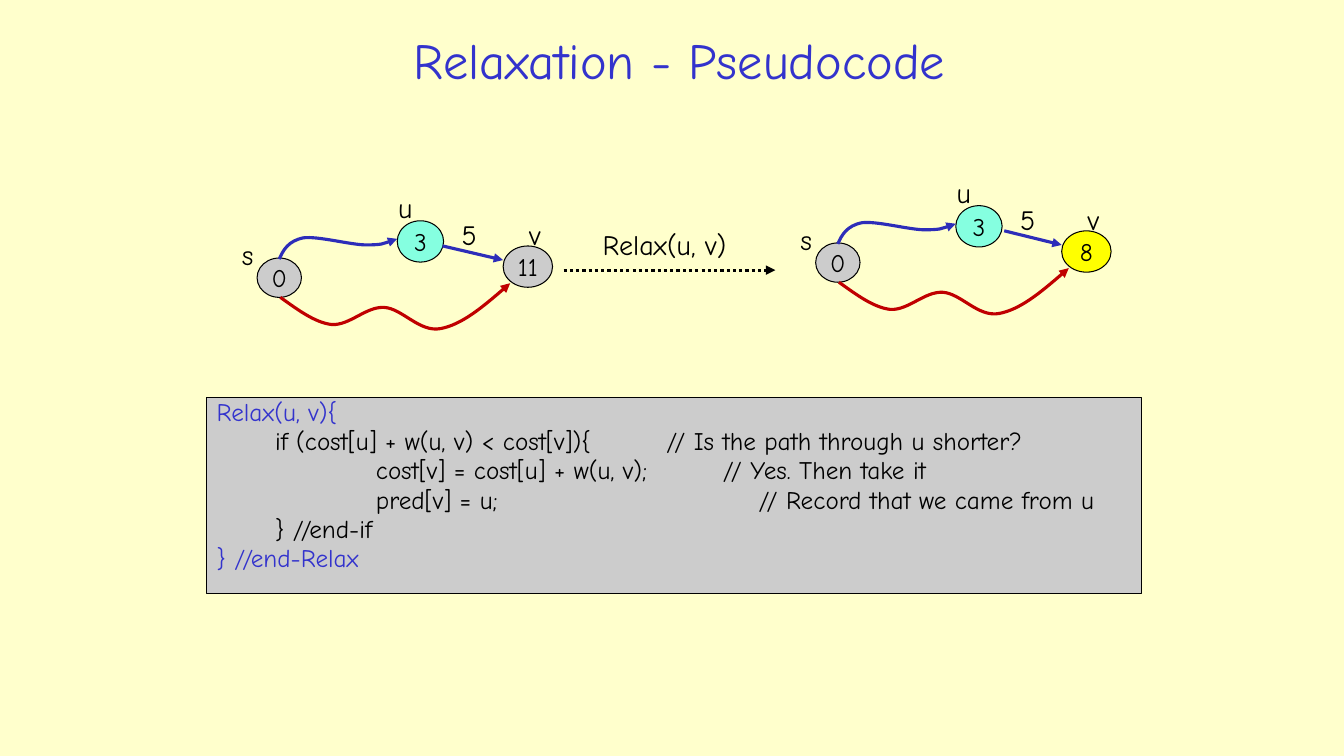
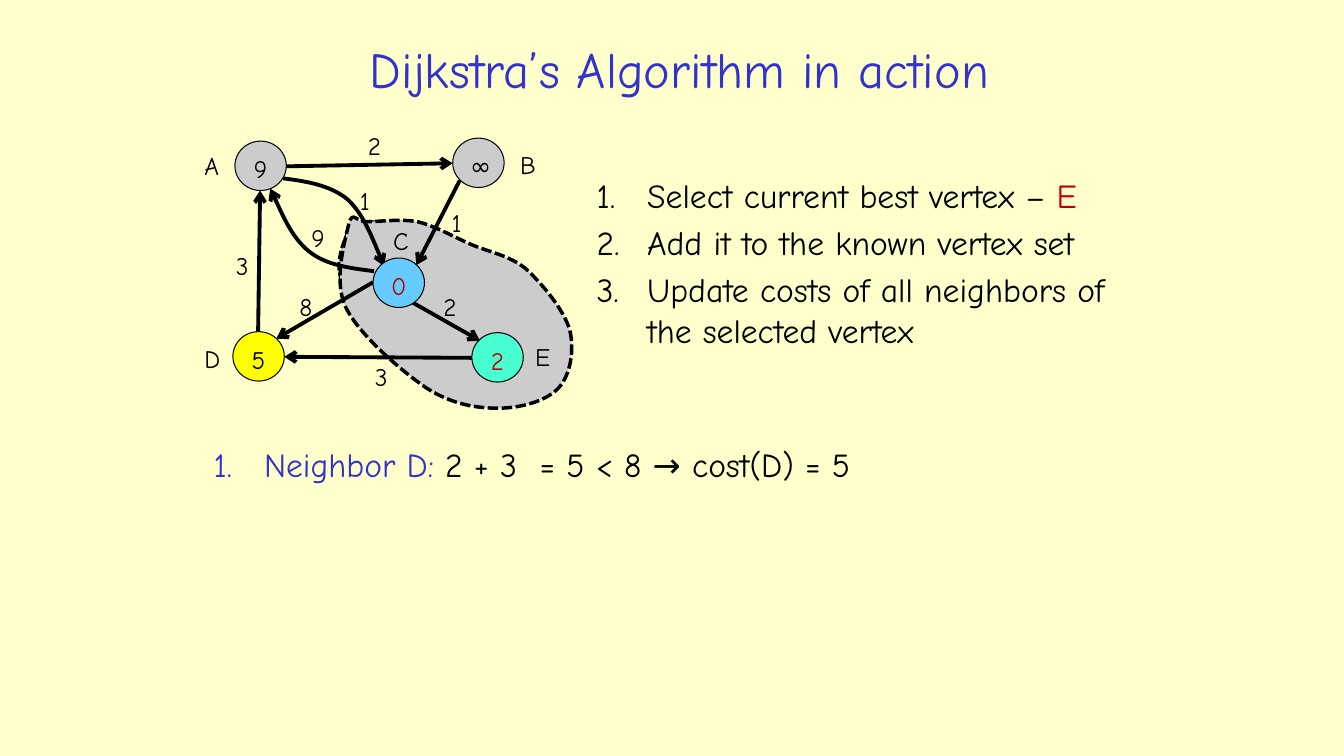
"""Build two slides on edge relaxation and Dijkstra's algorithm."""
from lxml import etree
from pptx import Presentation
from pptx.dml.color import RGBColor
from pptx.enum import dml, shapes, text
from pptx.oxml.ns import qn
from pptx.util import Inches, Pt

HUE = {"page": "FFFFCC", "title": "3333CC", "ink": "000000", "red": "C00000",
       "blue": "2D2DB9", "gray": "CCCCCC", "mint": "85FFE0", "teal": "47FFD1",
       "sky": "66CCFF", "gold": "FFFF00"}
FONT = "Comic Neue"
OVAL = shapes.MSO_SHAPE.OVAL
RECT = shapes.MSO_SHAPE.RECTANGLE
MID, TOP = text.MSO_ANCHOR.MIDDLE, text.MSO_ANCHOR.TOP
DASH, DOT = dml.MSO_LINE.SQUARE_DOT, dml.MSO_LINE.ROUND_DOT


def rgb(name):
    return RGBColor.from_string(HUE[name])


def write(page, paras, box, kind=None, fill="gray", size=18, color="ink", center=False,
          anchor=TOP, wrap=False, hang=0, number=False, space=None):
    """Add text, in a plain box or a preset shape; a paragraph is a list of (text, colour) runs."""
    area = [Inches(n) for n in box]
    if kind is None:
        shape = page.shapes.add_textbox(*area)
    else:
        shape = page.shapes.add_shape(kind, *area)
        shape.shadow.inherit = False
        shape.fill.solid()
        shape.fill.fore_color.rgb = rgb(fill)
        shape.line.color.rgb = rgb("ink")
        shape.line.width = Pt(0.75)
    frame = shape.text_frame
    frame.word_wrap = wrap
    frame.vertical_anchor = anchor
    if kind is None and not wrap:
        frame.auto_size = text.MSO_AUTO_SIZE.SHAPE_TO_FIT_TEXT
    if isinstance(paras, str):
        paras = [[(paras, color)]]
    for i, runs in enumerate(paras):
        para = frame.paragraphs[0] if i == 0 else frame.add_paragraph()
        para.alignment = text.PP_ALIGN.CENTER if center else text.PP_ALIGN.LEFT
        if hang:
            props = para._p.get_or_add_pPr()
            props.set("marL", str(Inches(hang)))
            props.set("indent", str(-Inches(hang)))
            props.set("defTabSz", str(Inches(1)))
            if number:
                etree.SubElement(props, qn("a:buAutoNum"), type="arabicPeriod")
        if space:
            para.line_spacing = space
        if i:
            para.space_before = Pt(size * 0.2)
        for words, hue in runs:
            run = para.add_run()
            run.text = words
            run.font.name = FONT
            run.font.size = Pt(size)
            run.font.color.rgb = rgb(hue)


def draw(page, points, color="ink", width=2.25, tip="triangle", dash=None, fill=None):
    """Draw a straight line through two points, or a Bezier curve through more."""
    spots = [(Inches(x), Inches(y)) for x, y in points]
    if len(spots) == 2:
        shape = page.shapes.add_connector(shapes.MSO_CONNECTOR.STRAIGHT, *spots[0], *spots[1])
    else:
        form = page.shapes.build_freeform(*spots[0])
        form.add_line_segments(spots[1:], close=fill is not None)
        shape = form.convert_to_shape()
        steps = list(shape._element.iter(qn("a:lnTo")))
        for a, b, c in zip(steps[::3], steps[1::3], steps[2::3]):
            a.addprevious(bend := etree.Element(qn("a:cubicBezTo")))
            for step in (a, b, c):
                bend.append(step[0])
                step.getparent().remove(step)
        if fill:
            shape.fill.solid()
            shape.fill.fore_color.rgb = rgb(fill)
        else:
            shape.fill.background()
    shape.line.color.rgb = rgb(color)
    shape.line.width = Pt(width)
    if dash:
        shape.line.dash_style = dash
    props = shape._element.spPr
    if tip:
        etree.SubElement(props.get_or_add_ln(), qn("a:tailEnd"), type=tip)
    etree.SubElement(props, qn("a:effectLst"))


deck = Presentation()
deck.slide_width, deck.slide_height = Inches(13.33), Inches(7.5)
back = deck.slide_master.background.fill
back.solid()
back.fore_color.rgb = rgb("page")
pages = []
for title, top, high in [("Relaxation - Pseudocode", 0.16, 0.86),
                         ("Dijkstra’s Algorithm in action", 0.3, 0.76)]:
    page = deck.slides.add_slide(deck.slide_layouts[6])
    write(page, title, (1.97, top, 9.54, high), size=36, color="title",
          center=True, anchor=MID, wrap=True)
    pages.append(page)
relax, action = pages

upper = [(2.77, 2.57), (2.81, 2.48), (2.86, 2.39), (3.01, 2.36), (3.15, 2.34),
         (3.48, 2.43), (3.63, 2.43), (3.79, 2.43), (3.86, 2.4), (3.94, 2.37)]
lower = [(2.78, 2.95), (2.95, 3.07), (3.12, 3.2), (3.29, 3.22), (3.47, 3.23),
         (3.63, 3.04), (3.81, 3.05), (3.99, 3.06), (4.16, 3.3), (4.37, 3.26),
         (4.58, 3.22), (4.82, 3.02), (5.06, 2.81)]
for dx, dy, cost, fill, start in [(0, 0, "11", "gray", 4.39),
                                  (5.54, -0.15, "8", "gold", 4.42)]:
    for value, hue, x, y, w, h in [("0", "gray", 2.55, 2.56, 0.44, 0.39),
                                   ("3", "mint", 3.94, 2.19, 0.46, 0.41),
                                   (cost, fill, 4.99, 2.44, 0.49, 0.41)]:
        write(relax, value, (x + dx, y + dy, w, h), kind=OVAL, fill=hue,
              center=True, anchor=MID)
    for name, x, y, w in [("s", 2.3, 2.31, 0.34), ("u", 3.85, 1.84, 0.35),
                          ("v", 5.15, 2.11, 0.34), ("5", 4.48, 2.11, 0.37)]:
        write(relax, name, (x + dx, y + dy, w, 0.43), size=20)
    for points, hue in [(upper, "blue"), ([(start, 2.44), (4.99, 2.58)], "blue"),
                        (lower, "red")]:
        draw(relax, [(x + dx, y + dy) for x, y in points], color=hue)

draw(relax, [(5.59, 2.68), (7.69, 2.68)], dash=DOT)
write(relax, "Relax(u, v)", (5.88, 2.21, 1.57, 0.44), size=20)
code = [
    ("Relax(u, v){", "title"),
    ("\tif (cost[u] + w(u, v) < cost[v]){         // Is the path through u shorter?", "ink"),
    ("\t\tcost[v] = cost[u] + w(u, v);         // Yes. Then take it", "ink"),
    ("\t\tpred[v] = u;                               // Record that we came from u", "ink"),
    ("\t} //end-if", "ink"),
    ("} //end-Relax", "title"),
]
write(relax, [[line] for line in code], (2.05, 3.94, 9.27, 1.95), kind=RECT,
      wrap=True, hang=0.58, space=0.8)

inner = [(3.46, 2.28), (3.41, 2.38), (3.3, 2.64), (3.4, 2.81), (3.51, 2.97), (3.93, 3.29),
         (4.1, 3.27), (4.27, 3.25), (4.39, 2.85), (4.42, 2.69), (4.45, 2.52), (4.39, 2.36),
         (4.28, 2.28), (4.16, 2.19), (3.88, 2.2), (3.74, 2.2), (3.6, 2.2), (3.52, 2.17),
         (3.46, 2.28)]
outer = [(3.46, 2.22), (3.43, 2.36), (3.3, 2.78), (3.43, 3.05), (3.56, 3.32), (3.98, 3.68),
         (4.23, 3.85), (4.48, 4.01), (4.72, 4.05), (4.94, 4.05), (5.16, 4.05), (5.42, 3.98),
         (5.54, 3.85), (5.66, 3.72), (5.7, 3.47), (5.65, 3.27), (5.59, 3.07), (5.38, 2.82),
         (5.22, 2.67), (5.05, 2.53), (4.84, 2.5), (4.66, 2.42), (4.48, 2.34), (4.31, 2.24),
         (4.14, 2.2), (3.97, 2.17), (3.76, 2.2), (3.65, 2.2), (3.53, 2.21), (3.5, 2.08),
         (3.46, 2.22)]
for points, width in [(inner, 2), (outer, 2.5)]:
    draw(action, points, width=width, tip=None, dash=DASH, fill="gray")

for points in [
    [(2.84, 1.65), (4.49, 1.62)],
    [(2.56, 3.29), (2.58, 1.89)],
    [(3.7, 2.8), (2.74, 3.36)],
    [(4.56, 1.79), (4.13, 2.63)],
    [(4.68, 3.55), (2.82, 3.54)],
    [(4.09, 3), (4.76, 3.38)],
    [(3.71, 2.69), (3.47, 2.66), (3.23, 2.63), (3.06, 2.49), (2.89, 2.35), (2.68, 1.87),
     (2.68, 1.87)],
    [(2.81, 1.77), (3.05, 1.8), (3.28, 1.84), (3.45, 1.98), (3.61, 2.13), (3.81, 2.64),
     (3.81, 2.64)],
]:
    draw(action, points, width=2.75, tip="arrow")

for cost, x, y, fill, hue in [("9", 2.33, 1.4, "gray", "ink"), ("∞", 4.49, 1.37, "gray", "ink"),
                              ("0", 3.7, 2.56, "sky", "red"), ("2", 4.68, 3.3, "teal", "red"),
                              ("5", 2.31, 3.29, "gold", "ink")]:
    write(action, cost, (x, y, 0.51, 0.49), kind=OVAL, fill=fill, color=hue,
          center=True, wrap=True)

for name, x, y in [("3", 2.24, 2.43), ("9", 2.99, 2.16), ("1", 3.47, 1.79), ("2", 3.55, 1.24),
                   ("1", 4.38, 2.01), ("2", 4.3, 2.84), ("8", 2.87, 2.84), ("3", 3.62, 3.54),
                   ("A", 1.93, 1.44), ("B", 5.06, 1.43), ("C", 3.8, 2.19), ("D", 1.93, 3.36),
                   ("E", 5.21, 3.34)]:
    write(action, name, (x, y, 0.32 if name == "1" else 0.36, 0.4))

steps = [[("Select current best vertex – ", "ink"), ("E", "red")],
         [("Add it to the known vertex set", "ink")],
         [("Update costs of all neighbors of the selected vertex", "ink")]]
check = [[("Neighbor D: ", "title"), ("2 + 3  = 5 < 8 → cost(D) = 5", "ink")]]
for paras, box in [(steps, (5.82, 1.69, 5.71, 2.04)), (check, (2.02, 4.35, 9.32, 0.72))]:
    write(action, paras, box, size=24, wrap=True, hang=0.5, number=True)

deck.save("out.pptx")
